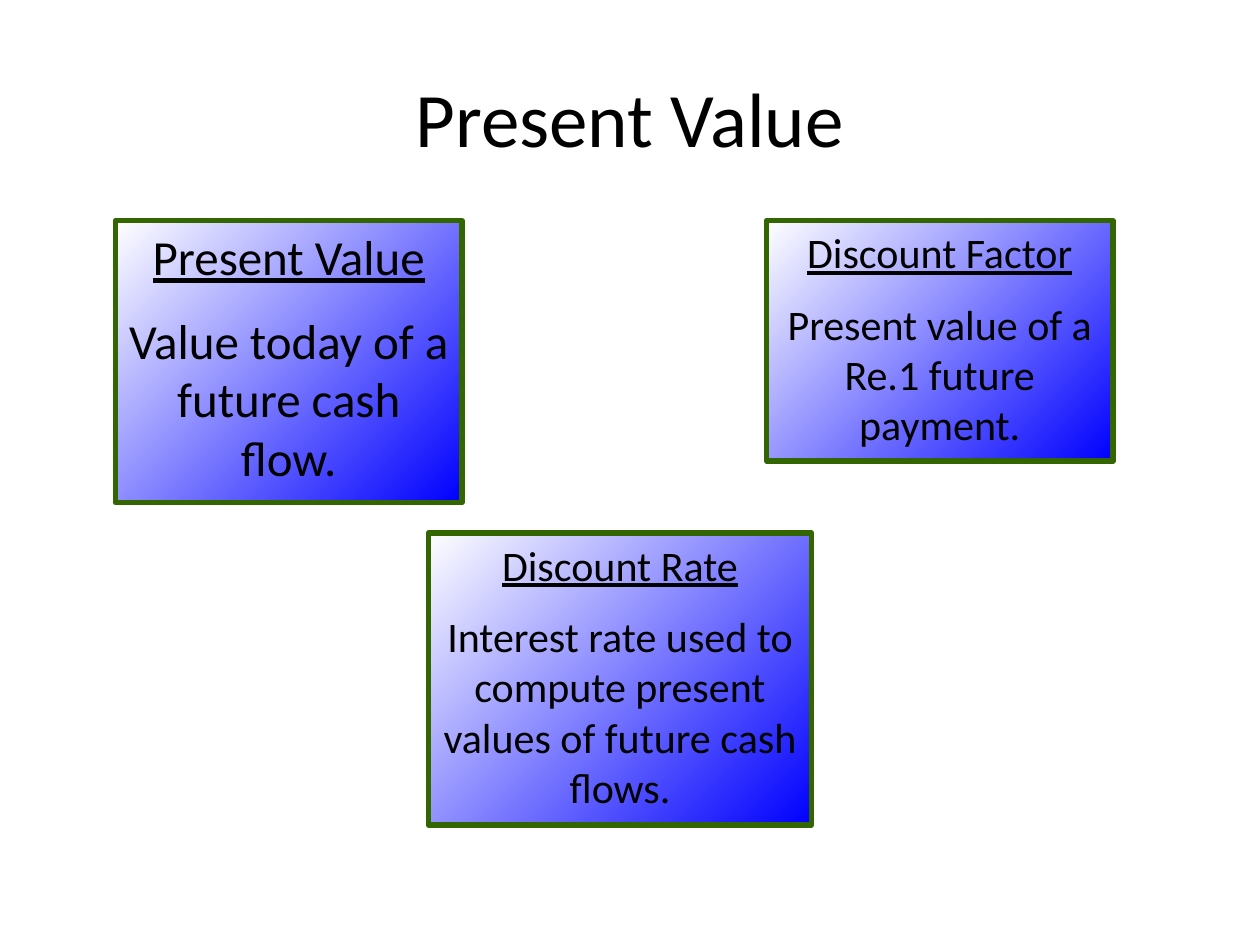
import pptx
import pptx.dml.color
import pptx.enum.shapes
import pptx.enum.text
import pptx.util

Pt = pptx.util.Pt
FONT = "Calibri"
BLACK, WHITE, BLUE, GREEN = "000000", "FFFFFF", "0000FF", "336600"

# Heading, definition, text size, (left, top, width, height)
DEFINITIONS = [
    ("Present Value", "Value today of a future cash flow.",
     28, (66, 126, 198, 161.3)),
    ("Discount Rate",
     "Interest rate used to compute present values of future cash flows.",
     24, (244.8, 304.5, 219, 167)),
    ("Discount Factor", "Present value of a Re.1 future payment.",
     24, (438, 126, 198, 137.5)),
]


def set_color(color_format, hex_color):
    color_format.rgb = pptx.dml.color.RGBColor.from_string(hex_color)


def format_paragraph(paragraph, size, underline=False):
    paragraph.alignment = pptx.enum.text.PP_ALIGN.CENTER
    for run in paragraph.runs:
        run.font.name = FONT
        run.font.size = Pt(size)
        run.font.underline = underline
        set_color(run.font.color, BLACK)


def add_title(slide, text):
    title = slide.shapes.add_textbox(Pt(36), Pt(21.6), Pt(648), Pt(90))
    frame = title.text_frame
    frame.word_wrap = True
    frame.vertical_anchor = pptx.enum.text.MSO_ANCHOR.MIDDLE
    frame.text = text
    format_paragraph(frame.paragraphs[0], 44)


def add_definition(slide, heading, definition, size, bounds):
    box = slide.shapes.add_shape(
        pptx.enum.shapes.MSO_SHAPE.RECTANGLE, *map(Pt, bounds))
    box.shadow.inherit = False

    # Diagonal gradient, from the top left to the bottom right
    box.fill.gradient()
    box.fill.gradient_angle = 315
    for stop, position, color in zip(
            box.fill.gradient_stops, (0, 1), (WHITE, BLUE)):
        stop.position = position
        set_color(stop.color, color)
    set_color(box.line.color, GREEN)
    box.line.width = Pt(3)

    # Underlined heading above its definition
    frame = box.text_frame
    frame.word_wrap = True
    frame.auto_size = pptx.enum.text.MSO_AUTO_SIZE.SHAPE_TO_FIT_TEXT
    frame.vertical_anchor = pptx.enum.text.MSO_ANCHOR.TOP
    frame.text = f"{heading}\n{definition}"
    heading_line, definition_line = frame.paragraphs
    format_paragraph(heading_line, size, underline=True)
    format_paragraph(definition_line, size)
    definition_line.space_before = Pt(size / 2)


def main():
    presentation = pptx.Presentation()
    presentation.slide_width = Pt(720)
    presentation.slide_height = Pt(540)
    slide = presentation.slides.add_slide(presentation.slide_layouts[6])
    add_title(slide, "Present Value")
    for heading, definition, size, bounds in DEFINITIONS:
        add_definition(slide, heading, definition, size, bounds)
    presentation.save("out.pptx")


if __name__ == "__main__":
    main()
